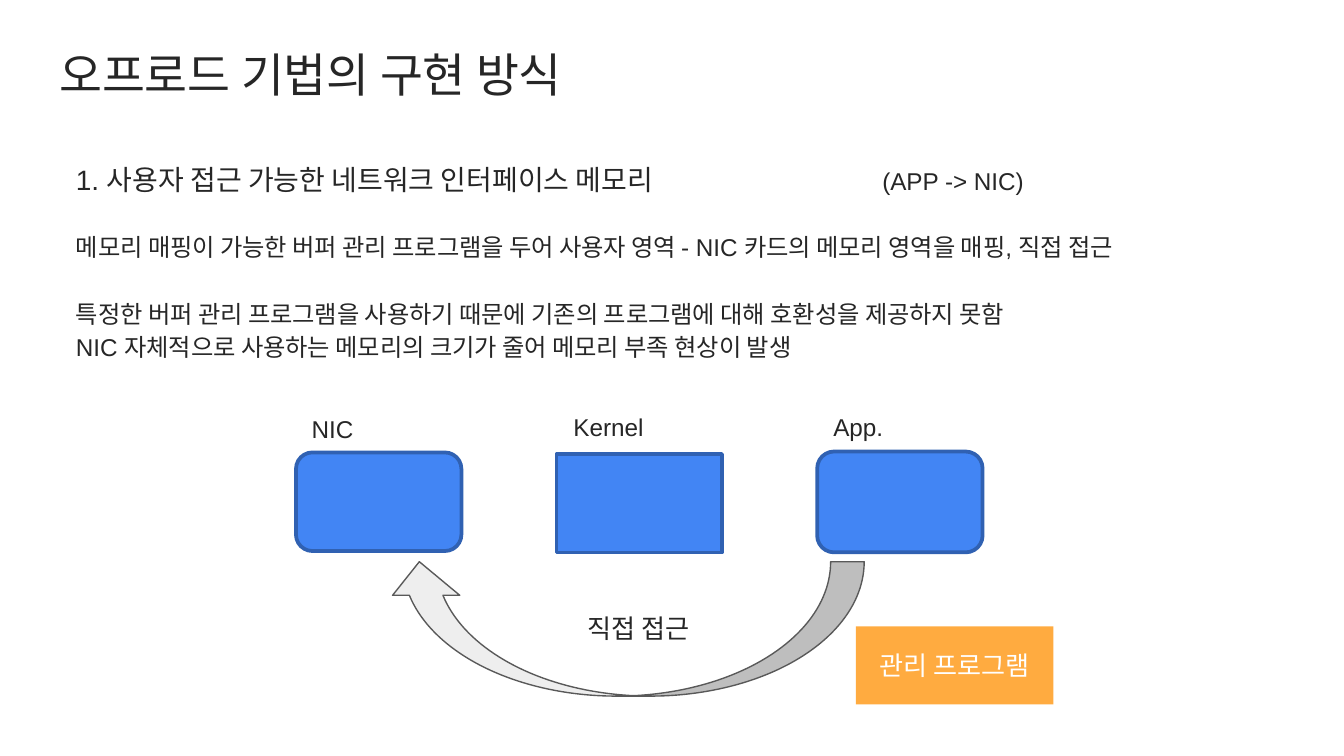
from dataclasses import dataclass

from lxml import etree
from pptx import Presentation
from pptx.dml.color import RGBColor
from pptx.enum.shapes import MSO_SHAPE
from pptx.enum.text import MSO_ANCHOR, MSO_AUTO_SIZE, PP_ALIGN
from pptx.oxml.ns import qn
from pptx.shapes.autoshape import Shape
from pptx.slide import Slide
from pptx.text.text import TextFrame, _Paragraph
from pptx.util import Pt

RECTANGLE = MSO_SHAPE.RECTANGLE
ROUNDED = MSO_SHAPE.ROUNDED_RECTANGLE
CURVED_ARROW = MSO_SHAPE.CURVED_LEFT_ARROW
LEFT, CENTER = PP_ALIGN.LEFT, PP_ALIGN.CENTER
TOP, MIDDLE = MSO_ANCHOR.TOP, MSO_ANCHOR.MIDDLE
NO_AUTOFIT = MSO_AUTO_SIZE.NONE
TITLE_ONLY = 5


@dataclass(frozen=True)
class Theme:
    ink: str = "262626"
    white: str = "FFFFFF"
    node_fill: str = "4285F4"
    node_line: str = "3061B2"
    arrow_fill: str = "EEEEEE"
    arrow_line: str = "595959"
    manager_fill: str = "FFAB40"
    title_font: str = "Calibri"
    body_font: str = "Arial"
    title_size: float = 25
    heading_size: float = 15
    caption_size: float = 14
    body_size: float = 13


@dataclass(frozen=True)
class Area:
    left: float
    top: float
    width: float
    height: float

    def lengths(self) -> tuple[Pt, Pt, Pt, Pt]:
        return Pt(self.left), Pt(self.top), Pt(self.width), Pt(self.height)


@dataclass(frozen=True)
class Node:
    name: str
    kind: MSO_SHAPE
    top: float
    height: float
    label_top: float
    label_width: float


@dataclass(frozen=True)
class Line:
    text: str
    space_before: float = 0
    size: float = 13
    remark: str = ""


THEME = Theme()
TITLE_AREA = Area(24.55, 17.5, 671, 45.1)
BODY_AREA = Area(24.55, 77, 671, 139)
BODY_INDENT = 9
REMARK_STOP = 432
NODE_LEFT, NODE_PITCH, NODE_WIDTH = 158.6, 139.6, 88.6
LABEL_HEIGHT = 23

NODES = [
    Node("NIC", ROUNDED, 242.4, 52.8, 218.5, 39),
    Node("Kernel", RECTANGLE, 243.2, 52.8, 217.5, 55.5),
    Node("App.", ROUNDED, 241.9, 54, 217.5, 44),
]
LINES = [
    Line("1. 사용자 접근 가능한 네트워크 인터페이스 메모리",
         size=THEME.heading_size, remark="\t(APP -> NIC)"),
    Line("메모리 매핑이 가능한 버퍼 관리 프로그램을 두어 사용자 영역 - NIC 카드의 메모리 영역을 매핑, 직접 접근",
         space_before=17.5),
    Line("특정한 버퍼 관리 프로그램을 사용하기 때문에 기존의 프로그램에 대해 호환성을 제공하지 못함",
         space_before=17.5),
    Line("NIC 자체적으로 사용하는 메모리의 크기가 줄어 메모리 부족 현상이 발생"),
]


def write(para: _Paragraph, text: str, *, size: float, font: str = THEME.body_font,
          color: str = THEME.ink, align: PP_ALIGN = LEFT) -> None:
    para.alignment = align
    span = para.add_run()
    span.text = text
    span.font.size = Pt(size)
    span.font.name = font
    span.font.color.rgb = RGBColor.from_string(color)


def set_frame(frame: TextFrame, *, vertical: float, anchor: MSO_ANCHOR = TOP,
              wrap: bool = True) -> None:
    frame.auto_size = NO_AUTOFIT
    frame.word_wrap = wrap
    frame.vertical_anchor = anchor
    frame.margin_left = frame.margin_right = Pt(7.2)
    frame.margin_top = frame.margin_bottom = Pt(vertical)


def add_label(slide: Slide, text: str, area: Area, size: float) -> None:
    box = slide.shapes.add_textbox(*area.lengths())
    set_frame(box.text_frame, vertical=3.6, wrap=False)
    write(box.text_frame.paragraphs[0], text, size=size, align=CENTER)


def add_figure(slide: Slide, kind: MSO_SHAPE, area: Area, fill: str,
               line: str = "", line_width: float = 0) -> Shape:
    figure = slide.shapes.add_shape(kind, *area.lengths())
    figure.shadow.inherit = False
    figure.fill.solid()
    figure.fill.fore_color.rgb = RGBColor.from_string(fill)
    if line:
        figure.line.color.rgb = RGBColor.from_string(line)
        figure.line.width = Pt(line_width)
    else:
        figure.line.fill.background()
    return figure


def add_title(slide: Slide, text: str) -> None:
    title = slide.shapes.title
    title.left, title.top, title.width, title.height = TITLE_AREA.lengths()
    set_frame(title.text_frame, vertical=7.2)
    write(title.text_frame.paragraphs[0], text,
          size=THEME.title_size, font=THEME.title_font)


def add_body(slide: Slide, lines: list[Line]) -> None:
    frame = slide.shapes.add_textbox(*BODY_AREA.lengths()).text_frame
    set_frame(frame, vertical=7.2)
    for index, line in enumerate(lines):
        para = frame.add_paragraph() if index else frame.paragraphs[0]
        para.line_spacing = 1.15
        para.space_before = Pt(line.space_before)
        write(para, line.text, size=line.size)
        properties = para._p.get_or_add_pPr()
        properties.set("marL", str(Pt(BODY_INDENT)))
        if line.remark:
            stops = etree.SubElement(properties, qn("a:tabLst"))
            etree.SubElement(stops, qn("a:tab"), pos=str(Pt(REMARK_STOP)), algn="l")
            write(para, line.remark, size=THEME.body_size)


def add_nodes(slide: Slide, nodes: list[Node]) -> None:
    for index, node in enumerate(nodes):
        left = NODE_LEFT + index * NODE_PITCH
        add_figure(slide, node.kind, Area(left, node.top, NODE_WIDTH, node.height),
                   THEME.node_fill, THEME.node_line, 2)
        add_label(slide, node.name,
                  Area(left, node.label_top, node.label_width, LABEL_HEIGHT),
                  THEME.body_size)


def add_direct_access(slide: Slide) -> None:
    add_label(slide, "직접 접근", Area(301.7, 324.7, 81.4, 24.5), THEME.caption_size)
    arrow = add_figure(slide, CURVED_ARROW, Area(298.8, 208.8, 72, 256.3),
                       THEME.arrow_fill, THEME.arrow_line, 0.75)
    arrow.rotation = 90
    for index, value in enumerate((0.25, 0.5, 0.25)):
        arrow.adjustments[index] = value
    manager = add_figure(slide, RECTANGLE, Area(458.6, 335.5, 105.8, 41.8),
                         THEME.manager_fill)
    set_frame(manager.text_frame, vertical=3.6, anchor=MIDDLE)
    write(manager.text_frame.paragraphs[0], "관리 프로그램",
          size=THEME.caption_size, color=THEME.white, align=CENTER)


def main() -> None:
    deck = Presentation()
    deck.slide_width, deck.slide_height = Pt(720), Pt(405)
    page = deck.slides.add_slide(deck.slide_layouts[TITLE_ONLY])
    add_title(page, "오프로드 기법의 구현 방식")
    add_body(page, LINES)
    add_nodes(page, NODES)
    add_direct_access(page)
    deck.save("out.pptx")


if __name__ == "__main__":
    main()
